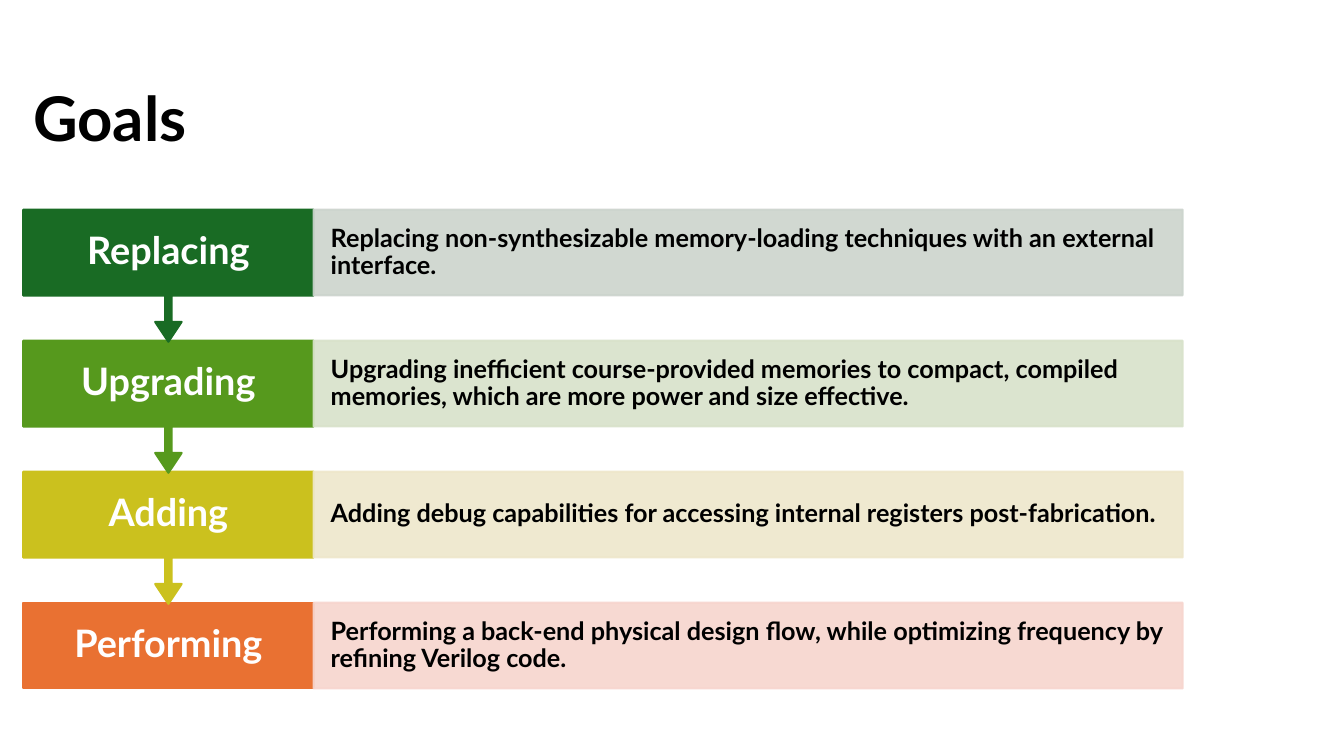
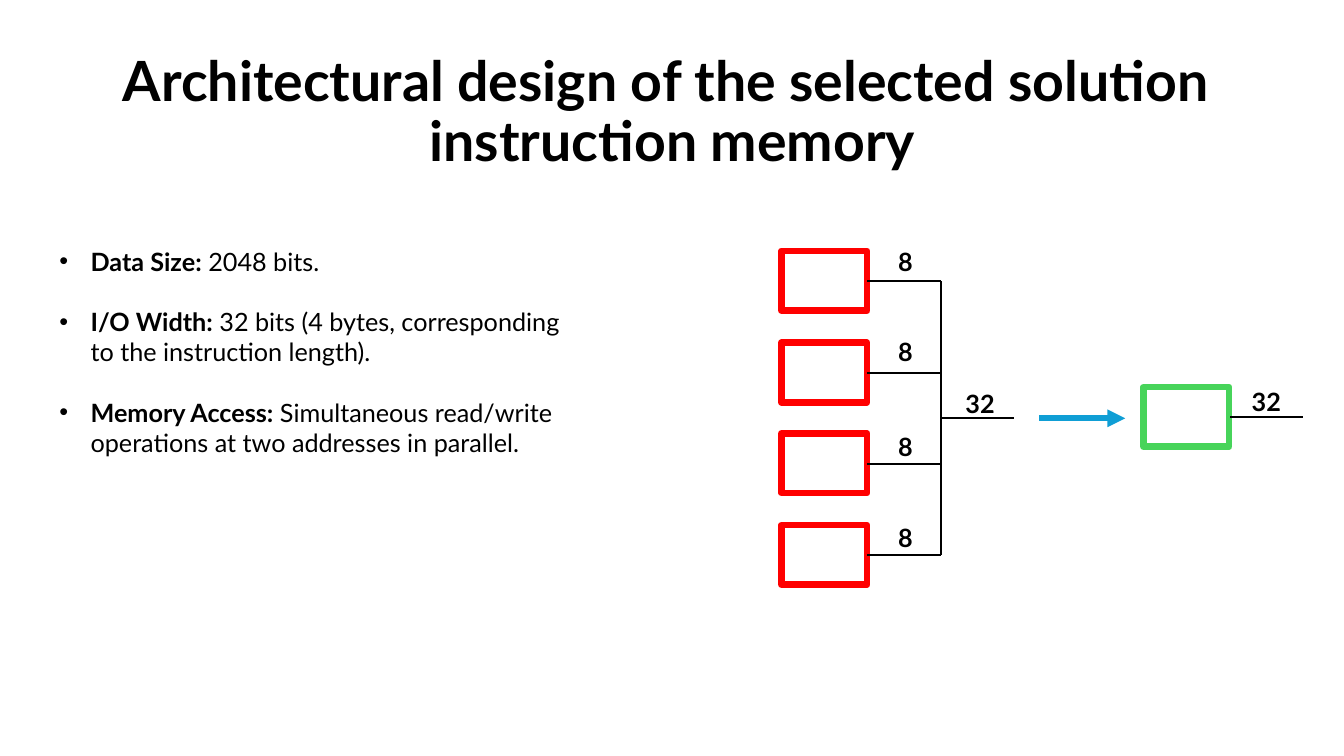
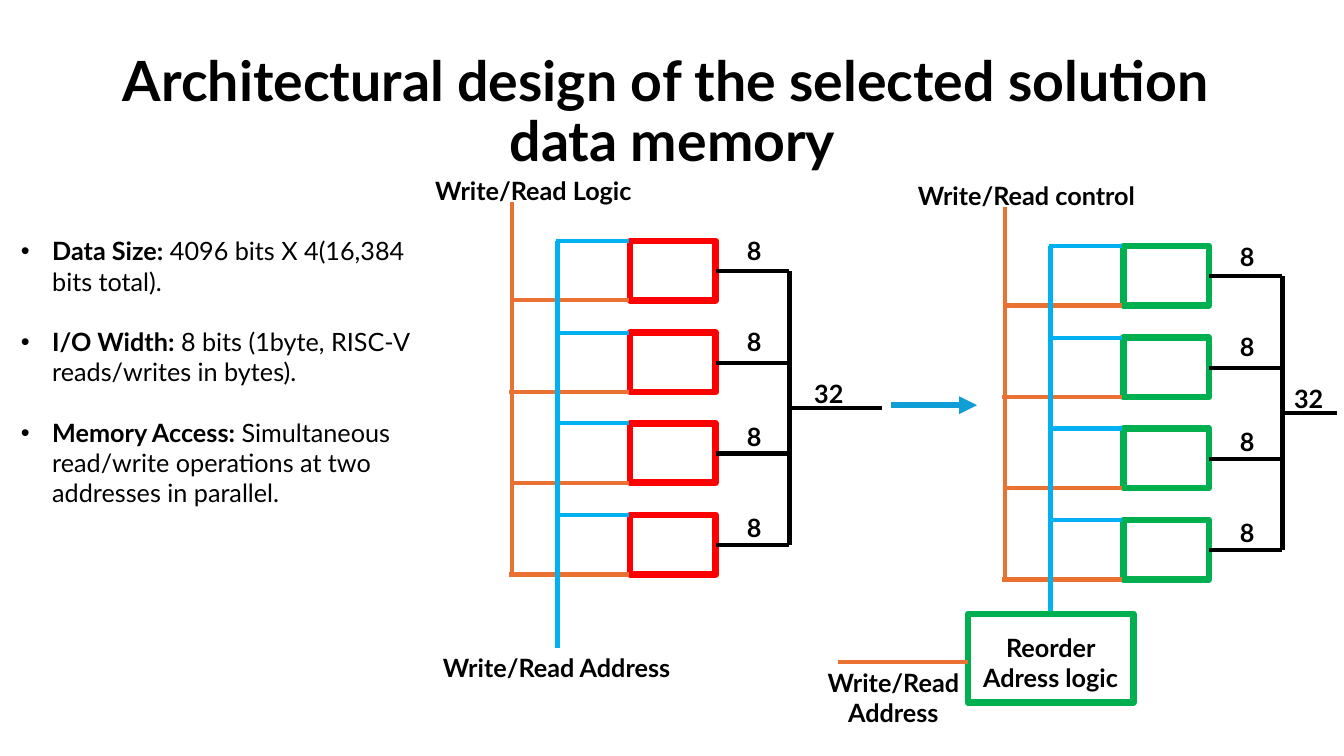
"""Build three slides on the goals and memory architecture of a chip design."""
from dataclasses import dataclass
from typing import NamedTuple

from lxml import etree
from pptx import Presentation
from pptx.dml.color import RGBColor
from pptx.enum.shapes import MSO_CONNECTOR, MSO_SHAPE
from pptx.enum.text import MSO_ANCHOR, PP_ALIGN
from pptx.oxml.ns import qn
from pptx.util import Pt

RECT = MSO_SHAPE.RECTANGLE
CALLOUT = MSO_SHAPE.UP_ARROW_CALLOUT
STRAIGHT = MSO_CONNECTOR.STRAIGHT
LEFT, CENTER = PP_ALIGN.LEFT, PP_ALIGN.CENTER
TOP, MIDDLE = MSO_ANCHOR.TOP, MSO_ANCHOR.MIDDLE

PX = 9144
FONT = "Lato"
COLORS = {
    "black": "000000", "white": "FFFFFF", "red": "FF0000",
    "green": "00B050", "lime": "47D45A", "arrow": "0F9ED5",
    "address": "00B0F0", "control": "E97132",
    "forest": "196B24", "forest_tint": "CCD4CD",
    "leaf": "56991D", "leaf_tint": "D8E2CA",
    "mustard": "CBC11E", "mustard_tint": "EEE7CB",
    "orange": "E97132", "orange_tint": "F7D5CE",
}
CELL_W, CELL_H = 85, 59
CELL_TOPS = [round(i * 272 / 3) for i in range(4)]
LABEL_TOPS = [-10, 80, 174, 264]
BUS_X = 158
TITLE = "Architectural design of the selected solution \n"


class Box(NamedTuple):
    x: int
    y: int
    w: int
    h: int

    def emu(self) -> list[int]:
        return [v * PX for v in self]


class Para(NamedTuple):
    bold: str
    plain: str = ""


@dataclass
class Goal:
    name: str
    text: str
    color: str


@dataclass
class Bank:
    x: int
    y: int
    color: str
    wire: float
    output: int
    label_x: int = 171


GOALS = [
    Goal("Replacing", "Replacing non-synthesizable memory-loading techniques "
         "with an external interface.", "forest"),
    Goal("Upgrading", "Upgrading inefficient course-provided memories to compact, "
         "compiled memories, which are more power and size effective.", "leaf"),
    Goal("Adding", "Adding debug capabilities for accessing internal registers "
         "post-fabrication.", "mustard"),
    Goal("Performing", "Performing a back-end physical design flow, while "
         "optimizing frequency by refining Verilog code.", "orange"),
]
ACCESS = Para("Memory Access:",
              " Simultaneous read/write operations at two addresses in parallel.")
INSTRUCTION_FACTS = [
    Para("Data Size:", " 2048 bits."),
    Para("I/O Width:", " 32 bits (4 bytes, corresponding to the instruction length)."),
    ACCESS,
]
DATA_FACTS = [
    Para("Data Size:", " 4096 bits X 4(16,384 bits total)."),
    Para("I/O Width:", " 8 bits (1byte, RISC-V reads/writes in bytes)."),
    ACCESS,
]


def rgb(name: str) -> RGBColor:
    return RGBColor.from_string(COLORS[name])


def add_bullet(p) -> None:
    pPr = p._p.get_or_add_pPr()
    pPr.set("marL", str(31 * PX))
    pPr.set("indent", str(-31 * PX))
    etree.SubElement(pPr, qn("a:buFont"), typeface="Arial")
    etree.SubElement(pPr, qn("a:buChar"), char="•")


def add_text(s, box: Box, *paras: Para, size=18, color="black", align=CENTER,
             anchor=TOP, spacing=1.0, margin=10, wrap=True, bullets=False) -> None:
    tf = s.shapes.add_textbox(*box.emu()).text_frame
    tf.word_wrap = wrap
    tf.vertical_anchor = anchor
    tf.margin_left = tf.margin_right = margin * PX
    for i, para in enumerate(paras):
        p = tf.add_paragraph() if i else tf.paragraphs[0]
        if bullets:
            add_bullet(p)
        p.alignment, p.line_spacing = align, spacing
        if i:
            p.space_before = Pt(21.6)
        for text, bold in zip(para, (True, False)):
            for j, part in enumerate(text.split("\n")):
                if j:
                    p.add_line_break()
                if part:
                    r = p.add_run()
                    r.text = part
                    r.font.name, r.font.size, r.font.bold = FONT, Pt(size), bold
                    r.font.color.rgb = rgb(color)


def add_box(s, box: Box, fill: str, line: str, width: float, kind=RECT, alpha=100):
    sp = s.shapes.add_shape(kind, *box.emu())
    sp.shadow.inherit = False
    sp.fill.solid()
    sp.fill.fore_color.rgb = rgb(fill)
    sp.line.color.rgb = rgb(line)
    sp.line.width = Pt(width)
    if alpha < 100:
        for clr in sp._element.spPr.iter(qn("a:srgbClr")):
            etree.SubElement(clr, qn("a:alpha"), val=str(alpha * 1000))
    return sp


def add_line(s, x1: int, y1: int, x2: int, y2: int, color="black", width=3.0,
             arrow=False) -> None:
    c = s.shapes.add_connector(STRAIGHT, x1 * PX, y1 * PX, x2 * PX, y2 * PX)
    c.line.color.rgb = rgb(color)
    c.line.width = Pt(width)
    if arrow:
        etree.SubElement(c.line._get_or_add_ln(), qn("a:tailEnd"), type="triangle")
    etree.SubElement(c._element.spPr, qn("a:effectLst"))


def add_title(s, text: str, x=92, size=39.6, align=CENTER) -> None:
    add_text(s, Box(x, 40 if align == CENTER else 48, 1150, 145), Para(text),
             size=size, align=align, anchor=MIDDLE, spacing=0.9)


def add_facts(s, box: Box, facts: list[Para]) -> None:
    add_text(s, box, *facts, align=LEFT, bullets=True)


def add_label(s, x: int, y: int, w: int, text: str) -> None:
    add_text(s, Box(x, y, w, 40), Para(text), wrap=False)


def add_cell(s, x: int, y: int, color: str) -> None:
    add_box(s, Box(x, y, CELL_W, CELL_H), "white", color, 4.75)


def add_flow_arrow(s, x: int, y: int) -> None:
    add_line(s, x, y, x + 85, y, "arrow", 4.25, arrow=True)


def add_bank(s, b: Bank) -> None:
    bus = b.x + BUS_X
    for top, label_top in zip(CELL_TOPS, LABEL_TOPS):
        add_cell(s, b.x, b.y + top, b.color)
        mid = b.y + top + 30
        add_line(s, b.x + CELL_W, mid, bus, mid, width=b.wire)
        add_label(s, b.x + 106, b.y + label_top, 31, "8")
    add_line(s, bus, b.y + 30, bus, b.y + 302, width=b.wire)
    add_line(s, bus, b.y + 166, bus + b.output, b.y + 166, width=b.wire)
    add_label(s, b.x + b.label_x, b.y + 131, 52, "32")


def add_control_wires(s, b: Bank, title: str, address_end: int) -> None:
    for i, top in enumerate(CELL_TOPS):
        y = b.y + top
        add_line(s, b.x - 74, y, b.x - 1, y, "address")
        add_line(s, b.x - 117 - i % 2 * 3, y + CELL_H, b.x - 1, y + CELL_H, "control")
    add_line(s, b.x - 117, b.y - 39, b.x - 117, b.y + 331, "control")
    add_line(s, b.x - 72, address_end, b.x - 72, b.y, "address")
    add_label(s, b.x - 216, b.y - 70, 240, title)


def build_goals(s) -> None:
    add_title(s, "Goals", x=23, size=44, align=LEFT)
    last = len(GOALS) - 1
    for i, goal in reversed(list(enumerate(GOALS))):
        y = 208 + 130 * i
        name_box, text_box = Box(23, y, 288, 85), Box(311, y, 862, 85)
        if i == last:
            add_box(s, name_box, goal.color, goal.color, 1.5)
        else:
            sp = add_box(s, name_box._replace(h=131), goal.color, goal.color, 1.5, CALLOUT)
            sp.rotation = 180
            for j, value in enumerate((0.05, 0.1, 0.15, 0.65)):
                sp.adjustments[j] = value
        add_text(s, name_box, Para(goal.name), size=27, color="white",
                 anchor=MIDDLE, spacing=0.9, margin=20)
        tint = goal.color + "_tint"
        add_box(s, text_box, tint, tint, 1.5, alpha=90)
        add_text(s, text_box, Para(goal.text), align=LEFT, anchor=MIDDLE,
                 spacing=0.9, margin=17)


def build_instruction_memory(s) -> None:
    add_title(s, TITLE + "instruction memory")
    add_bank(s, Bank(775, 249, "red", 1.5, 73))
    add_flow_arrow(s, 1031, 415)
    add_cell(s, 1134, 384, "lime")
    add_line(s, 1220, 414, 1292, 414, width=1.5)
    add_label(s, 1230, 378, 52, "32")
    add_facts(s, Box(49, 239, 535, 252), INSTRUCTION_FACTS)


def build_data_memory(s) -> None:
    add_title(s, TITLE + "data memory")
    before = Bank(625, 239, "red", 3, 92)
    after = Bank(1114, 244, "green", 3, 54, label_x=158)
    add_bank(s, before)
    add_control_wires(s, before, "Write/Read Logic", 643)
    add_label(s, 422, 642, 260, "Write/Read Address")
    add_flow_arrow(s, 884, 402)
    add_bank(s, after)
    add_control_wires(s, after, "Write/Read control", 609)
    add_text(s, Box(804, 657, 164, 71), Para("Write/Read Address"))
    add_box(s, Box(960, 609, 164, 88), "white", "green", 4.75)
    add_line(s, 831, 657, 960, 657, "control")
    add_text(s, Box(960, 622, 164, 71), Para("Reorder Adress logic"))
    add_facts(s, Box(11, 229, 444, 313), DATA_FACTS)


def main() -> None:
    prs = Presentation()
    prs.slide_width, prs.slide_height = 1333 * PX, 750 * PX
    for build in (build_goals, build_instruction_memory, build_data_memory):
        build(prs.slides.add_slide(prs.slide_layouts[6]))
    prs.save("out.pptx")


if __name__ == "__main__":
    main()
